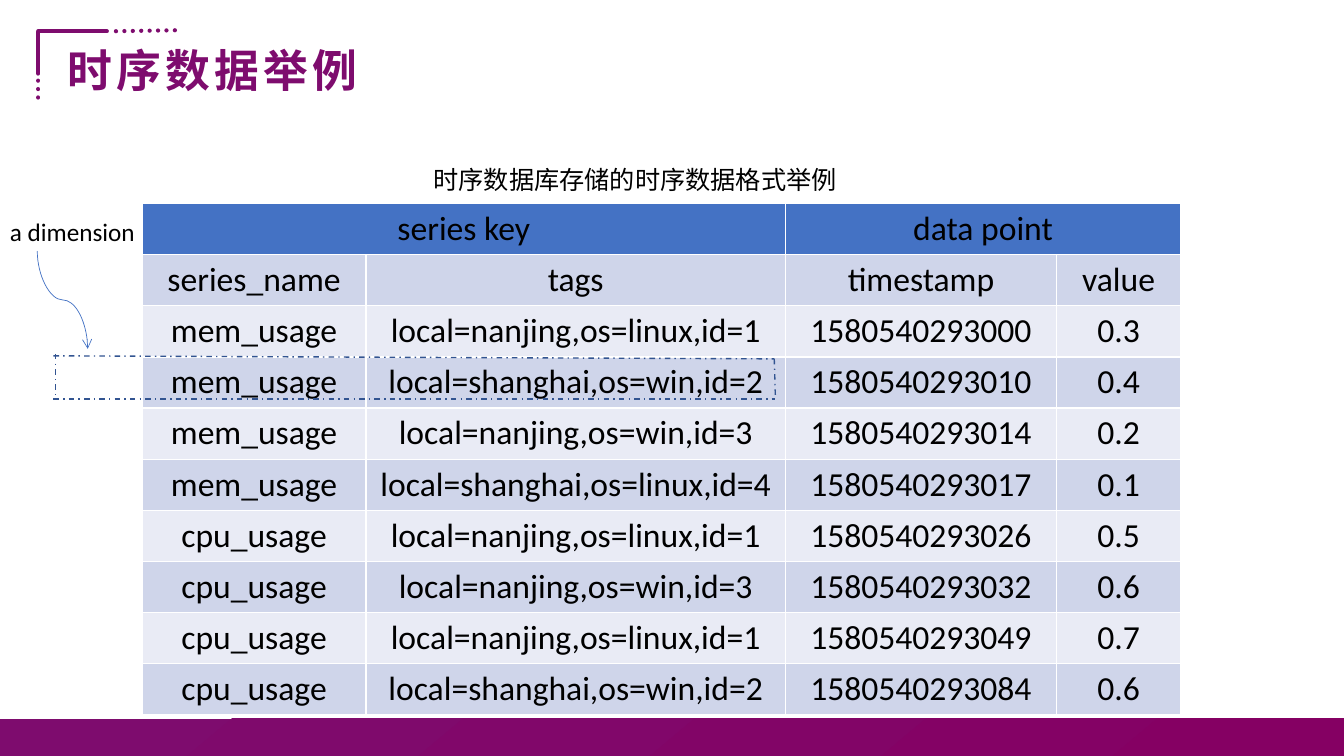
"""Build the slide that shows an example of time series data."""
from lxml import etree
from pptx import Presentation
from pptx.dml.color import RGBColor
from pptx.enum.dml import MSO_LINE
from pptx.enum.shapes import MSO_CONNECTOR, MSO_SHAPE
from pptx.enum.text import MSO_ANCHOR, PP_ALIGN
from pptx.oxml.ns import qn
from pptx.util import Inches, Pt

STRAIGHT, CURVE = MSO_CONNECTOR.STRAIGHT, MSO_CONNECTOR.CURVE
SOLID, DOTS, DASH_DOT = MSO_LINE.SOLID, MSO_LINE.ROUND_DOT, MSO_LINE.DASH_DOT
LEFT, CENTER = PP_ALIGN.LEFT, PP_ALIGN.CENTER
TOP, MIDDLE = MSO_ANCHOR.TOP, MSO_ANCHOR.MIDDLE
PURPLE = RGBColor(0x7E, 0x0C, 0x6E)
MAGENTA = RGBColor(0x85, 0x00, 0x63)
BLUE = RGBColor(0x44, 0x72, 0xC4)
DARK_BLUE = RGBColor(0x32, 0x54, 0x91)
BAND_DARK = RGBColor(0xCF, 0xD5, 0xEA)
BAND_LIGHT = RGBColor(0xE9, 0xEB, 0xF5)
BLACK = RGBColor(0, 0, 0)
LATIN, CHINESE = "Calibri", "Noto Sans CJK SC"

presentation = Presentation()
presentation.slide_width, presentation.slide_height = Inches(13.33), Inches(7.5)
slide = presentation.slides.add_slide(presentation.slide_layouts[6])
shapes = slide.shapes


def place(*percents):
    """Turn alternating shares of slide width and height into lengths."""
    sides = (presentation.slide_width, presentation.slide_height)
    return [round(sides[i % 2] * share / 100) for i, share in enumerate(percents)]


def write(frame, text, size, font_name, color=BLACK, align=LEFT):
    """Fill a text frame with one paragraph and return the paragraph."""
    paragraph = frame.paragraphs[0]
    paragraph.text = text
    paragraph.alignment = align
    font = paragraph.font
    font.size, font.name, font.color.rgb = Pt(size), font_name, color
    properties = paragraph._p.pPr.find(qn("a:defRPr"))
    etree.SubElement(properties, qn("a:ea")).set("typeface", font_name)
    return paragraph


footer = shapes.add_shape(MSO_SHAPE.RECTANGLE, *place(0, 95.07, 100, 4.93))
footer.shadow.inherit = False
footer.line.fill.background()
footer.fill.gradient()
footer.fill.gradient_angle = 310
for stop, position, color in zip(footer.fill.gradient_stops, (0, 1), (PURPLE, MAGENTA)):
    stop.position, stop.color.rgb = position, color

rows = [
    ("series key", "", "data point", ""),
    ("series_name", "tags", "timestamp", "value"),
    ("mem_usage", "local=nanjing,os=linux,id=1", "1580540293000", "0.3"),
    ("mem_usage", "local=shanghai,os=win,id=2", "1580540293010", "0.4"),
    ("mem_usage", "local=nanjing,os=win,id=3", "1580540293014", "0.2"),
    ("mem_usage", "local=shanghai,os=linux,id=4", "1580540293017", "0.1"),
    ("cpu_usage", "local=nanjing,os=linux,id=1", "1580540293026", "0.5"),
    ("cpu_usage", "local=nanjing,os=win,id=3", "1580540293032", "0.6"),
    ("cpu_usage", "local=nanjing,os=linux,id=1", "1580540293049", "0.7"),
    ("cpu_usage", "local=shanghai,os=win,id=2", "1580540293084", "0.6"),
]
column_shares = (16.65, 31.21, 20.18, 9.23)
table = shapes.add_table(
    len(rows), len(column_shares), *place(10.58, 26.93, sum(column_shares), 66.67)
).table
table.first_row = False
for column, share in zip(table.columns, column_shares):
    column.width = place(share)[0]
for first in (0, 2):
    table.cell(0, first).merge(table.cell(0, first + 1))
for row_index, row in enumerate(rows):
    fill_color = BAND_DARK if row_index % 2 else BAND_LIGHT
    for column_index, text in enumerate(row):
        cell = table.cell(row_index, column_index)
        cell.fill.solid()
        cell.fill.fore_color.rgb = fill_color if row_index else BLUE
        if text:
            write(cell.text_frame, text, 24, LATIN, align=CENTER)

labels = [
    ("时序数据举例", (4.28, 5.73, 32.18, 7.87), 32, CHINESE, PURPLE, MIDDLE),
    ("时序数据库存储的时序数据格式举例", (31.51, 21.07, 35.93, 5.33), 18, CHINESE, BLACK, TOP),
    ("a dimension", (0, 28, 12.98, 5.33), 18, LATIN, BLACK, TOP),
]
for text, box, size, font_name, color, anchor in labels:
    frame = shapes.add_textbox(*place(*box)).text_frame
    frame.word_wrap = True
    frame.vertical_anchor = anchor
    paragraph = write(frame, text, size, font_name, color)
    if color == PURPLE:
        paragraph.line_spacing = 0.9
        paragraph.font.bold = True
        paragraph._p.pPr.find(qn("a:defRPr")).set("spc", "300")

lines = [
    (STRAIGHT, (2.85, 4.13, 7.95, 4.13), PURPLE, 3, SOLID),
    (STRAIGHT, (8.63, 4.13, 13.13, 4), PURPLE, 3, DOTS),
    (STRAIGHT, (2.85, 4.27, 2.85, 9.73), PURPLE, 3, SOLID),
    (STRAIGHT, (2.85, 10.67, 2.85, 14), PURPLE, 3, DOTS),
    (STRAIGHT, (3.98, 47.07, 57.61, 47.47), DARK_BLUE, 1, DASH_DOT),
    (STRAIGHT, (3.98, 52.8, 57.69, 52.8), DARK_BLUE, 1, DASH_DOT),
    (STRAIGHT, (4.13, 46.8, 4.13, 52.8), DARK_BLUE, 1, DASH_DOT),
    (STRAIGHT, (57.61, 47.47, 57.69, 52.27), DARK_BLUE, 1, DASH_DOT),
    (CURVE, (1.01, 43, 8.29, 36.33), BLUE, 0.5, SOLID),
]
for kind, ends, color, width, dash in lines:
    connector = shapes.add_connector(kind, *place(*ends))
    connector.line.color.rgb = color
    connector.line.width = Pt(width)
    connector.line.dash_style = dash
    properties = connector.element.spPr
    outline = properties.find(qn("a:ln"))
    etree.SubElement(properties, qn("a:effectLst"))
    if color == PURPLE:
        outline.set("cap", "rnd")
    if kind == CURVE:
        properties.find(qn("a:xfrm")).set("rot", "5400000")
        etree.SubElement(outline, qn("a:tailEnd")).set("type", "arrow")

presentation.save("out.pptx")
